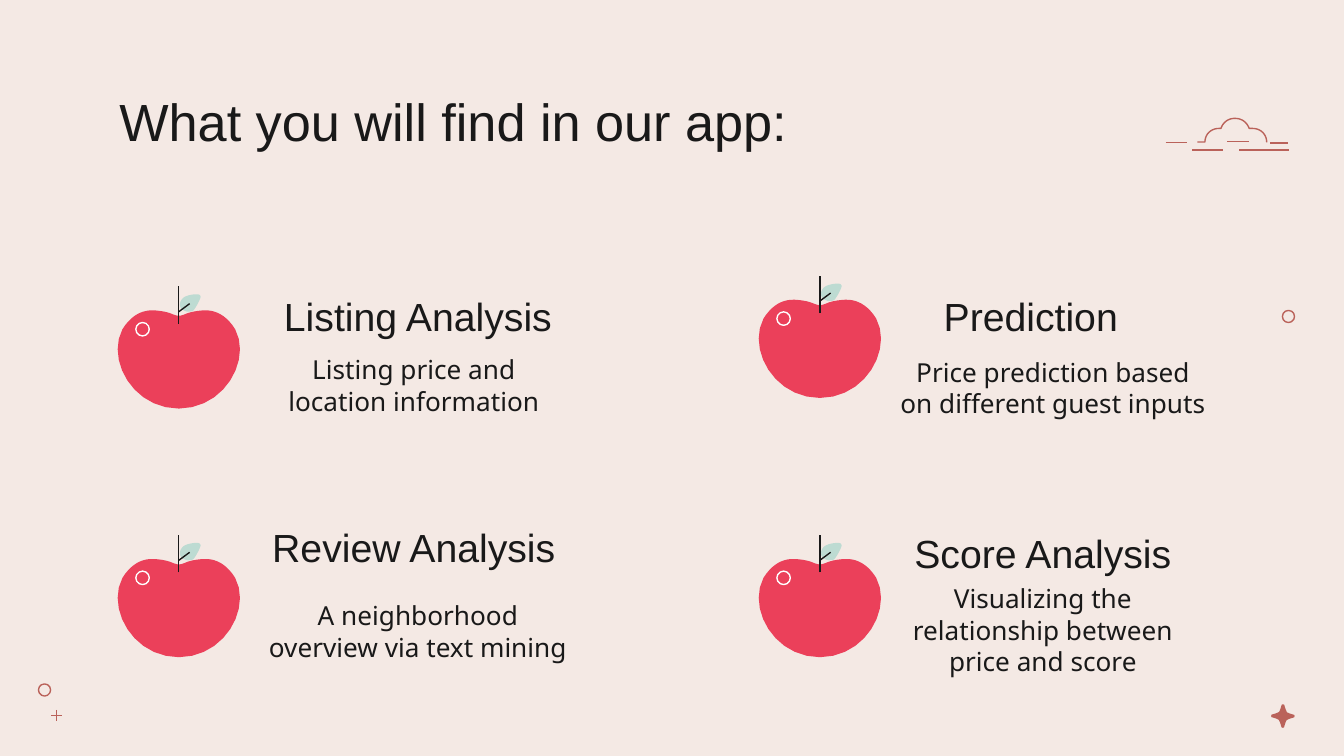
from lxml.etree import SubElement
from pptx import Presentation
from pptx.dml.color import RGBColor
from pptx.enum.shapes import MSO_CONNECTOR, MSO_SHAPE
from pptx.enum.text import MSO_ANCHOR, PP_ALIGN
from pptx.oxml.ns import qn
from pptx.util import Pt

CREAM = RGBColor(0xF4, 0xE9, 0xE4)
INK = RGBColor(0x19, 0x19, 0x19)
APPLE_RED = RGBColor(0xEB, 0x40, 0x5A)
LEAF_GREEN = RGBColor(0xBD, 0xDB, 0xD2)
RUST = RGBColor(0xBA, 0x62, 0x5A)
WHITE = RGBColor(0xFF, 0xFF, 0xFF)

# Outlines: a pair is a straight step, six numbers are a cubic curve.
# Apple parts are measured from the middle of the apple's top edge.
APPLE_HALF = [(0, 2.9), (-1.4, 2.9, -2.9, 2.2, -5, 1.4),
              (-7.2, 0.7, -10.8, 0, -14.4, 0),
              (-19.4, 0, -25.2, 2.2, -30.2, 10.1),
              (-38.9, 26.6, -24.5, 52.6, 0, 52.6)]
LEAF = [(9.4, -8.6), (7.2, -8.6, 3.6, -7.9, 2.2, -6.5),
        (0.7, -5, 0, -2.9, 1.4, -0.7), (2.9, 0, 3.6, 0.7, 5, 0.7),
        (5.8, 0.7, 7.2, 0.7, 7.9, 0), (8.6, -0.7, 10.8, -4.3, 11.5, -6.5),
        (12.2, -7.9, 10.8, -8.6, 10.1, -8.6)]
CLOUD = [(641.5, 76.1), (645.5, 76.1), (645.5, 72, 648.7, 68.8, 653, 68.8),
         (654.1, 68.8), (655.2, 65.5, 658, 63.4, 661.5, 63.4),
         (665.3, 63.4, 668, 65.5, 669.2, 68.8), (671, 68.8),
         (675.4, 68.8, 678.6, 72, 678.6, 76.3)]
CLOUD_DASHES = [(624.4, 635.8, 76.4), (638.6, 655.2, 80.3),
                (657.4, 668.9, 75.8), (664, 690.3, 80.3), (680.4, 689.8, 76.7)]
STAR_QUARTER = [(0, -6.3), (0.7, -6.1), (1.5, -3.5),
                (2.2, -2), (3.5, -1.4), (6.1, -0.6)]

# Each topic: apple (x, y), heading and its box, description lines and their box
TOPICS = [
    ((95.8, 166.3), "Listing Analysis", (134.6, 148.3, 178.6, 41.8),
     ["Listing price and location information"], (144, 187.2, 155.5, 38.2)),
    ((439.2, 160.6), "Prediction", (465.1, 148.3, 174.2, 41.8),
     ["Price prediction based", "on different guest inputs"],
     (465.1, 171.4, 198, 72.7)),
    ((95.8, 299.5), "Review Analysis", (134.6, 272.2, 174.2, 41.8),
     ["A neighborhood overview via text mining"], (134.6, 319, 178.6, 38.2)),
    ((439.2, 299.5), "Score Analysis", (471.6, 275, 174.2, 41.8),
     ["Visualizing the relationship between price and score"],
     (471.6, 318.2, 174.2, 38.2)),
]


def trace(steps, n=10):
    """Turn straight steps and cubic curves into a list of points."""
    points = []
    for step in steps:
        if len(step) == 2:
            points.append(step)
            continue
        x0, y0 = points[-1]
        x1, y1, x2, y2, x3, y3 = step
        for i in range(1, n + 1):
            t = i / n
            a, b, c, d = (1 - t)**3, 3 * t * (1 - t)**2, 3 * t * t * (1 - t), t**3
            points.append((a * x0 + b * x1 + c * x2 + d * x3,
                           a * y0 + b * y1 + c * y2 + d * y3))
    return points


def write_text(tf, lines, size=14, font="Noto Sans", color=INK,
               align=PP_ALIGN.CENTER):
    for i, line in enumerate(lines):
        p = tf.paragraphs[0] if i == 0 else tf.add_paragraph()
        p.alignment = align
        r = p.add_run()
        r.text = line
        r.font.size = Pt(size)
        r.font.name = font
        r.font.color.rgb = color


class Painter:
    line_width = 0.75

    def __init__(self, slide):
        self.s = slide

    def paint(self, sp, fill=None, line=None):
        sp.shadow.inherit = False
        if fill is None:
            sp.fill.background()
        else:
            sp.fill.solid()
            sp.fill.fore_color.rgb = fill
        if line is None:
            sp.line.fill.background()
        else:
            sp.line.color.rgb = line
            sp.line.width = Pt(self.line_width)

    def text(self, box, lines, **style):
        tf = self.s.shapes.add_textbox(*map(Pt, box)).text_frame
        tf.word_wrap = True
        tf.vertical_anchor = MSO_ANCHOR.MIDDLE
        tf.margin_left = tf.margin_right = Pt(7.2)
        tf.margin_top = tf.margin_bottom = Pt(7.2)
        write_text(tf, lines, **style)

    def outline(self, points, x=0, y=0, fill=None, line=None):
        points = [(Pt(x + px), Pt(y + py)) for px, py in points]
        fb = self.s.shapes.build_freeform(*points[0])
        fb.add_line_segments(points[1:], close=fill is not None)
        self.paint(fb.convert_to_shape(), fill, line)

    def ring(self, x, y, size, color):
        sp = self.s.shapes.add_shape(MSO_SHAPE.OVAL, Pt(x), Pt(y),
                                     Pt(size), Pt(size))
        self.paint(sp, line=color)

    def line(self, x1, y1, x2, y2, color):
        sp = self.s.shapes.add_connector(MSO_CONNECTOR.STRAIGHT,
                                         Pt(x1), Pt(y1), Pt(x2), Pt(y2))
        sp.line.color.rgb = color
        sp.line.width = Pt(self.line_width)
        SubElement(sp.element.spPr, qn("a:effectLst"))

    def apple(self, x, y):
        left = trace(APPLE_HALF)
        right = [(-px, py) for px, py in reversed(left[1:-1])]
        self.outline(left + right, x, y, fill=APPLE_RED)
        self.outline(trace(LEAF), x, y, fill=LEAF_GREEN)
        self.line(x, y + 7.2, x, y - 13, INK)
        self.line(x + 5.8, y - 3.6, x, y + 0.7, INK)
        self.ring(x - 23, y + 6.5, 7.2, WHITE)

    def star(self, x, y):
        points, quarter = [], STAR_QUARTER
        for _ in range(4):
            points += quarter
            quarter = [(-py, px) for px, py in quarter]
        self.outline(points, x, y, fill=RUST)


def main():
    prs = Presentation()
    prs.slide_width, prs.slide_height = Pt(720), Pt(405)
    s = prs.slides.add_slide(prs.slide_layouts[6])
    s.background.fill.solid()
    s.background.fill.fore_color.rgb = CREAM
    painter = Painter(s)

    # Corner decorations
    painter.star(687.3, 383.6)
    painter.ring(20.6, 366.4, 6.5, RUST)
    painter.ring(687, 166.3, 6.5, RUST)
    painter.line(27.4, 383.2, 33.2, 383.2, RUST)
    painter.line(30.3, 380.3, 30.3, 386.1, RUST)

    # Cloud
    painter.outline(trace(CLOUD), line=RUST)
    for x1, x2, y in CLOUD_DASHES:
        painter.line(x1, y, x2, y, RUST)

    # Title
    painter.text((56.9, 42.5, 607, 44.6), ["What you will find in our app:"],
                 size=28, font="Arial", align=PP_ALIGN.LEFT)

    # Topics
    for apple, heading, heading_box, lines, lines_box in TOPICS:
        painter.apple(*apple)
        painter.text(heading_box, [heading], size=21, font="Arial")
        painter.text(lines_box, lines)

    prs.save("out.pptx")


if __name__ == "__main__":
    main()
